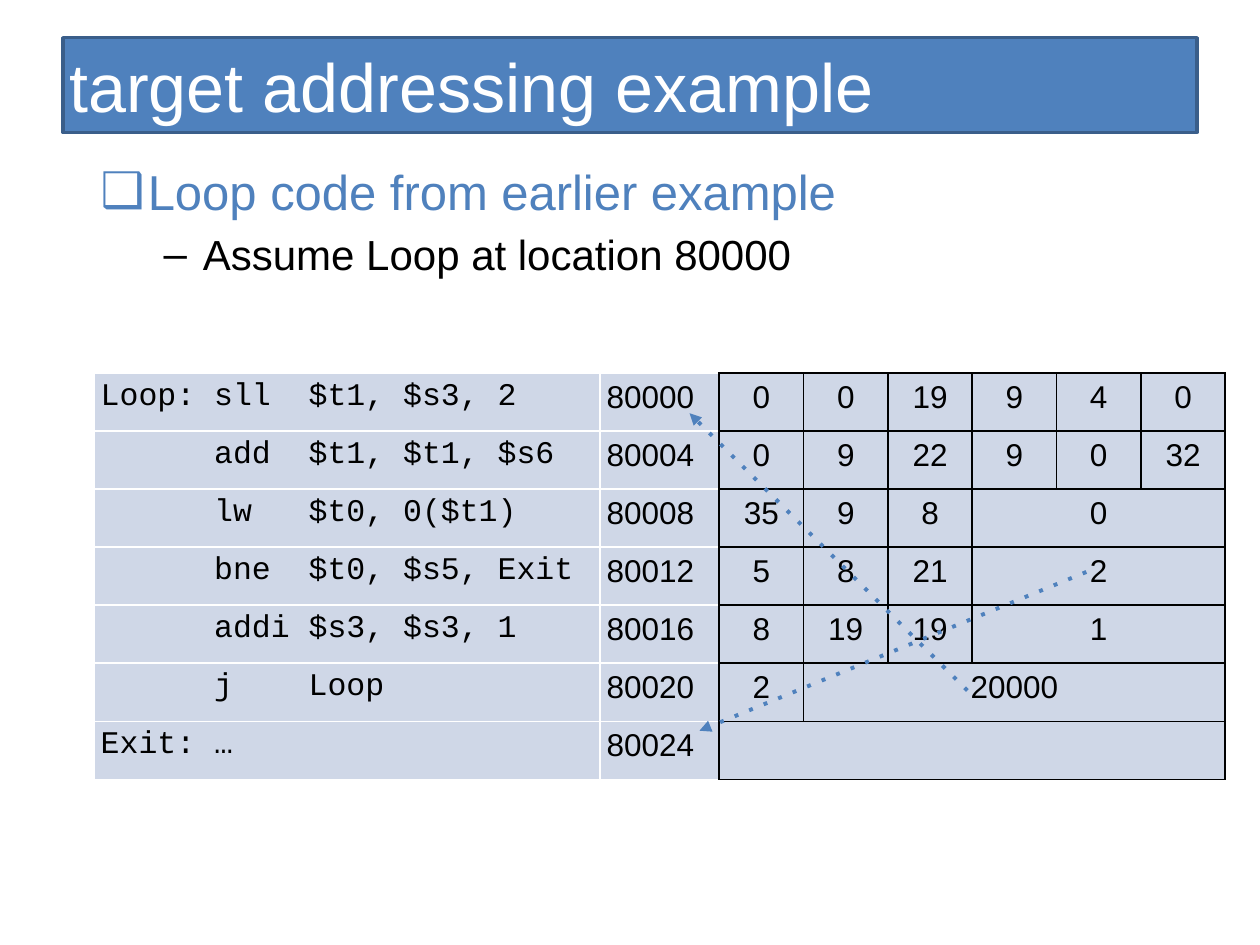
import pptx
import pptx.dml.color
import pptx.enum.shapes
import pptx.enum.text
import pptx.oxml.ns
import pptx.util
from lxml import etree

Cm = pptx.util.Cm
Pt = pptx.util.Pt
qn = pptx.oxml.ns.qn
Align = pptx.enum.text.PP_ALIGN

BLUE, DARK_BLUE, PALE = "4F81BD", "3A5E8A", "CFD7E7"
WHITE, BLACK = "FFFFFF", "000000"

PROGRAM = [
    ("Loop: sll  $t1, $s3, 2", [0, 0, 19, 9, 4, 0]),
    ("      add  $t1, $t1, $s6", [0, 9, 22, 9, 0, 32]),
    ("      lw   $t0, 0($t1)", [35, 9, 8, 0]),
    ("      bne  $t0, $s5, Exit", [5, 8, 21, 2]),
    ("      addi $s3, $s3, 1", [8, 19, 19, 1]),
    ("      j    Loop", [2, 20000]),
    ("Exit: …", [""]),
]
START_ADDRESS, WORD_BYTES, FIELD_COLUMNS = 80000, 4, 6


def color(value):
    return pptx.dml.color.RGBColor.from_string(value)


def write(para, text, size=18, font="Arial", fill=BLACK, align=Align.LEFT):
    span = para.add_run()
    span.text = text
    span.font.size = Pt(size)
    span.font.name = font
    span.font.color.rgb = color(fill)
    para.alignment = align


def add_bullet(para, mark, fill, left, hanging):
    properties = para._p.get_or_add_pPr()
    properties.set("marL", str(Cm(left)))
    properties.set("indent", str(-Cm(hanging)))
    tint = etree.SubElement(properties, qn("a:buClr"))
    etree.SubElement(tint, qn("a:srgbClr"), val=fill)
    etree.SubElement(properties, qn("a:buFont"), typeface="Arial")
    etree.SubElement(properties, qn("a:buChar"), char=mark)


class SlideBuilder:
    def __init__(self, page, margin=0.13):
        self.page = page
        self.margin = Cm(margin)

    def inset(self, target):
        target.margin_left = target.margin_right = self.margin
        target.margin_top = target.margin_bottom = self.margin

    def title_bar(self, left, top, width, height, text):
        box = self.page.shapes.add_shape(
            pptx.enum.shapes.MSO_SHAPE.RECTANGLE, Cm(left), Cm(top), Cm(width), Cm(height))
        box.shadow.inherit = False
        box.fill.solid()
        box.fill.fore_color.rgb = color(BLUE)
        box.line.color.rgb = color(DARK_BLUE)
        box.line.width = Pt(2)
        frame = box.text_frame
        frame.word_wrap = True
        frame.vertical_anchor = pptx.enum.text.MSO_ANCHOR.MIDDLE
        self.inset(frame)
        write(frame.paragraphs[0], text, size=39, fill=WHITE)

    def text_box(self, left, top, width, height):
        box = self.page.shapes.add_textbox(Cm(left), Cm(top), Cm(width), Cm(height))
        box.text_frame.word_wrap = True
        self.inset(box.text_frame)
        return box.text_frame

    def table(self, left, top, widths, row_height, rows):
        grid = self.page.shapes.add_table(
            rows, len(widths), Cm(left), Cm(top), Cm(sum(widths)), Cm(row_height * rows)).table
        grid.first_row = grid.horz_banding = False
        for column, width in zip(grid.columns, widths):
            column.width = Cm(width)
        for row in grid.rows:
            row.height = Cm(row_height)
        return grid

    def style_cell(self, cell, sides):
        self.inset(cell)
        properties = cell._tc.get_or_add_tcPr()
        for side, line in zip("LRTB", sides):
            border = etree.SubElement(properties, qn("a:ln" + side), w=str(Pt(1)))
            paint = etree.SubElement(border, qn("a:solidFill"))
            etree.SubElement(paint, qn("a:srgbClr"), val=line)
        cell.fill.solid()
        cell.fill.fore_color.rgb = color(PALE)

    def dotted_arrow(self, start, end):
        arrow = self.page.shapes.add_connector(
            pptx.enum.shapes.MSO_CONNECTOR.STRAIGHT, *map(Cm, start + end))
        arrow.line.color.rgb = color(BLUE)
        arrow.line.width = Pt(2.25)
        line = arrow.line._get_or_add_ln()
        etree.SubElement(line, qn("a:prstDash"), val="dot")
        etree.SubElement(line, qn("a:tailEnd"), type="triangle")
        etree.SubElement(arrow._element.spPr, qn("a:effectLst"))


def add_outline(builder):
    frame = builder.text_box(1.9, 3.12, 22.99, 3.4)
    topic = frame.paragraphs[0]
    add_bullet(topic, "❑", BLUE, 0.95, 0.95)
    write(topic, "Loop code from earlier example", size=28, fill=BLUE)
    detail = frame.add_paragraph()
    detail.level = 1
    add_bullet(detail, "–", BLACK, 2.06, 0.79)
    detail.space_before = Pt(5)
    write(detail, "Assume Loop at location 80000", size=24)


def add_program(builder):
    widths = [10.2, 2.4] + [1.7] * FIELD_COLUMNS
    grid = builder.table(1.9, 7.52, widths, 1.17, len(PROGRAM))
    edges = [[WHITE] * 4, [WHITE, BLACK, WHITE, WHITE]] + [[BLACK] * 4] * FIELD_COLUMNS
    for row, (code, fields) in enumerate(PROGRAM):
        for column, sides in enumerate(edges):
            builder.style_cell(grid.cell(row, column), sides)
        write(grid.cell(row, 0).text_frame.paragraphs[0], code, font="Courier New")
        address = str(START_ADDRESS + WORD_BYTES * row)
        write(grid.cell(row, 1).text_frame.paragraphs[0], address)
        if len(fields) < FIELD_COLUMNS:
            grid.cell(row, len(fields) + 1).merge(grid.cell(row, len(widths) - 1))
        for column, value in enumerate(fields, start=2):
            if value != "":
                write(grid.cell(row, column).text_frame.paragraphs[0], str(value),
                      align=Align.CENTER)


def main():
    deck = pptx.Presentation()
    deck.slide_width, deck.slide_height = Cm(25.4), Cm(19.05)
    builder = SlideBuilder(deck.slides.add_slide(deck.slide_layouts[6]))
    builder.title_bar(1.27, 0.76, 22.86, 1.91, "target addressing example")
    add_outline(builder)
    add_program(builder)
    builder.dotted_arrow((19.5, 13.92), (13.9, 8.33))
    builder.dotted_arrow((21.9, 11.53), (14.1, 14.73))
    deck.save("out.pptx")


if __name__ == "__main__":
    main()
